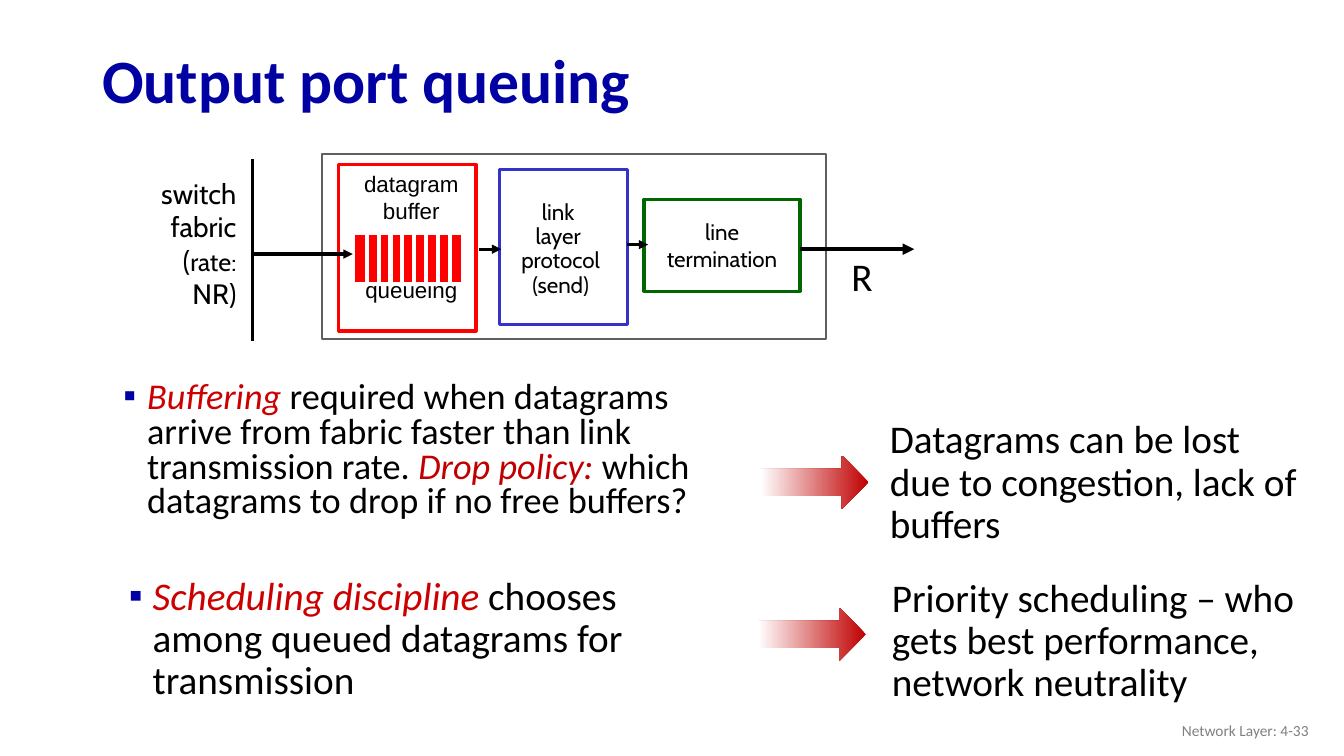
from lxml import etree
from pptx import Presentation
from pptx.dml.color import RGBColor
from pptx.enum.shapes import MSO_CONNECTOR as CONN, MSO_SHAPE as SHAPE
from pptx.enum.text import MSO_ANCHOR as ANCHOR, PP_ALIGN as ALIGN
from pptx.oxml.ns import qn
from pptx.util import Pt

COLORS = {
    "title": "0000A3", "term": "CC0000", "arrow": "C00000", "text": "000000",
    "paper": "FFFFFF", "footer": "808080", "frame": "5F5F5F",
    "buffer": "FF0000", "link": "3333CC", "line": "006600",
}


def rgb(name):
    return RGBColor.from_string(COLORS[name])


def set_font(font, size, name="Calibri", color="text"):
    font.size, font.name = Pt(size), name
    font.color.rgb = rgb(color)


def add_text(s, box, lines, size, font="Calibri", color="text", align=ALIGN.LEFT,
             anchor=ANCHOR.TOP, wrap=True, spacing=None):
    """Add a text box with one paragraph per line; return its paragraphs."""
    tf = s.shapes.add_textbox(*map(Pt, box)).text_frame
    tf.word_wrap, tf.vertical_anchor = wrap, anchor
    tf.text = "\n".join(lines)
    for p in tf.paragraphs:
        p.alignment = align
        if spacing:
            p.line_spacing = spacing
        set_font(p.font, size, font, color)
    return tf.paragraphs


def add_box(s, box, line, width, fill="paper"):
    sp = s.shapes.add_shape(SHAPE.RECTANGLE, *map(Pt, box))
    sp.shadow.inherit = False
    sp.fill.solid()
    sp.fill.fore_color.rgb = rgb(fill)
    sp.line.color.rgb = rgb(line)
    sp.line.width = Pt(width)


def add_line(s, x1, y1, x2, y2, color="text", width=2.25, arrow=False):
    cn = s.shapes.add_connector(CONN.STRAIGHT, Pt(x1), Pt(y1), Pt(x2), Pt(y2))
    cn.line.color.rgb = rgb(color)
    cn.line.width = Pt(width)
    if arrow:
        etree.SubElement(cn.line._get_or_add_ln(), qn("a:tailEnd"), type="triangle")
    etree.SubElement(cn._element.spPr, qn("a:effectLst"))


def add_queue(s, x, y, w, h, bars=8):
    add_box(s, (x, y, w, h), "paper", 3, fill="buffer")
    for i in range(bars):
        bar_x = x + 10 + 8.47 * i
        add_line(s, bar_x, y + 0.5, bar_x, y + h - 0.5, "paper", 3)


def output_port(s, x, y):
    """Draw the path from switch fabric to outgoing link, from its left top corner."""
    def at(left, top, w, h):
        return x + left, y + top, w, h

    def wire(x1, x2, dy, width=2.25):
        add_line(s, x + x1, y + dy, x + x2, y + dy, width=width, arrow=True)

    add_box(s, at(137, 0, 360, 132.5), "frame", 1.5)

    line_box = at(367, 32.5, 111.5, 65.5)
    add_box(s, line_box, "line", 2.25)
    add_text(s, line_box, ["line", "termination"], 16, "Cabin",
             align=ALIGN.CENTER, anchor=ANCHOR.MIDDLE, wrap=False)

    add_box(s, at(264, 11, 91, 111), "link", 2.25)
    wire(249.5, 265, 68)
    wire(355, 370, 64.75)
    add_text(s, at(266, 35.5, 83, 65.5), ["link ", "layer ", "protocol", "(send)"], 16,
             "Cabin", align=ALIGN.CENTER, anchor=ANCHOR.MIDDLE, wrap=False, spacing=0.9)

    fabric = add_text(s, at(0, 31, 83, 65.5), ["switch", "fabric", "("], 20, "Cabin",
                      align=ALIGN.RIGHT, anchor=ANCHOR.MIDDLE, wrap=False)
    r = fabric[-1].add_run()
    r.text, r.font.size = "rate: ", Pt(18)
    fabric[-1].add_run().text = "NR)"

    add_box(s, at(149, 7.5, 98, 119), "buffer", 2.25)
    label = add_text(s, at(155.5, 8, 90.5, 115), ["datagram", "buffer", "queueing"], 16,
                     "Arial", align=ALIGN.CENTER, wrap=False)
    label[-1].space_before = Pt(37)
    add_queue(s, *at(159, 56.5, 78.5, 36.5))

    add_line(s, x + 87.5, y + 3.5, x + 87.5, y + 133.5)
    wire(86.5, 159, 71.5)
    wire(478.5, 560, 68, 2.75)
    add_text(s, at(508, 66.5, 25, 41), ["R"], 28)


def bullet(s, box, runs, size, spacing):
    """Add a square-bulleted paragraph; runs are (text, colour), coloured ones italic."""
    p = add_text(s, box, [""], size, spacing=spacing)[0]
    pPr = p._p.get_or_add_pPr()
    pPr.set("marL", str(Pt(28)))
    pPr.set("indent", str(Pt(-17)))
    marks = [etree.Element(qn("a:buClr")), etree.Element(qn("a:buFont"), typeface="Arial"),
             etree.Element(qn("a:buChar"), char="▪")]
    etree.SubElement(marks[0], qn("a:srgbClr"), val=COLORS["title"])
    default = pPr.find(qn("a:defRPr"))
    for mark in marks:
        default.addprevious(mark)
    for text, color in runs:
        r = p.add_run()
        r.text = text
        r.font.color.rgb = rgb(color)
        r.font.italic = color != "text"


def consequence(s, box, arrow_dx, arrow_dy, text):
    """Add a text with a fading arrow that points to it from the left."""
    x, y = box[:2]
    add_text(s, box, [text], 28, spacing=0.9)
    sp = s.shapes.add_shape(SHAPE.RIGHT_ARROW, Pt(x - arrow_dx), Pt(y + arrow_dy),
                            Pt(77), Pt(38))
    sp.shadow.inherit = False
    sp.line.fill.background()
    sp.fill.gradient()
    sp.fill.gradient_angle = 180
    for stop, color in zip(sp.fill.gradient_stops, ("arrow", "paper")):
        stop.color.rgb = rgb(color)


def main():
    prs = Presentation()
    prs.slide_width, prs.slide_height = Pt(960), Pt(540)
    s = prs.slides.add_slide(prs.slide_layouts[6])

    title = add_text(s, (66, 24.5, 828, 70.5), ["Output port queuing"], 44, color="title",
                     anchor=ANCHOR.MIDDLE, spacing=0.9)
    title[0].font.bold = True
    output_port(s, 93, 110)

    bullet(s, (70, 269, 471, 112), [
        ("Buffering", "term"),
        (" required when datagrams arrive from fabric faster than link transmission rate. ",
         "text"),
        ("Drop policy: ", "arrow"),
        ("which datagrams to drop if no free buffers?", "text"),
    ], 25.9, 0.8)
    bullet(s, (74, 408, 404, 101.5), [
        ("Scheduling discipline", "term"),
        (" chooses among queued datagrams for transmission", "text"),
    ], 28, 0.9)

    consequence(s, (628.5, 296.5, 311, 98.5), 85, 29,
                "Datagrams can be lost due to congestion, lack of buffers")
    consequence(s, (630, 409.5, 330, 98.5), 88.5, 24.5,
                "Priority scheduling – who gets best performance, network neutrality")
    add_text(s, (726, 507.5, 216, 29), ["Network Layer: 4-33"], 11, color="footer",
             align=ALIGN.RIGHT, anchor=ANCHOR.MIDDLE)
    prs.save("out.pptx")


if __name__ == "__main__":
    main()
